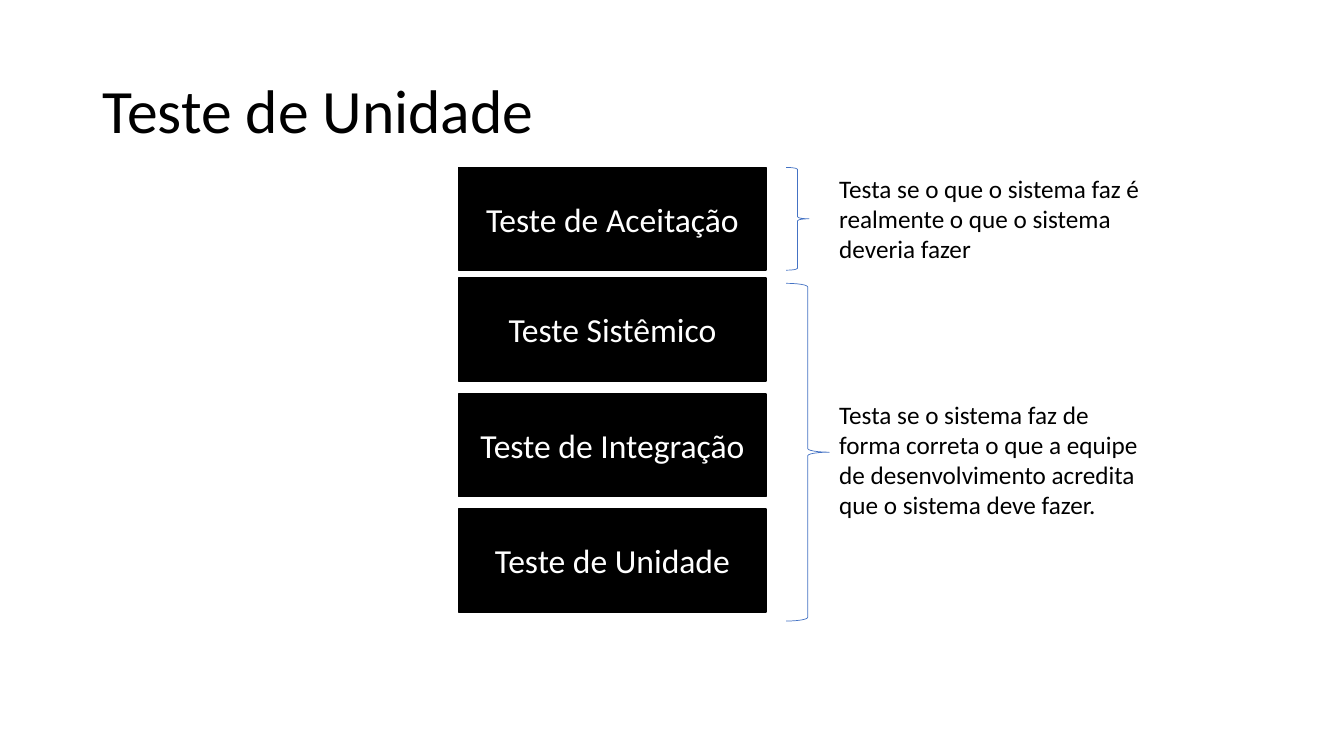
import pptx
import pptx.util
import pptx.dml.color
import pptx.enum.shapes
import pptx.enum.text

Cm, Pt = pptx.util.Cm, pptx.util.Pt
RGBColor = pptx.dml.color.RGBColor
MSO_SHAPE = pptx.enum.shapes.MSO_SHAPE
PP_ALIGN = pptx.enum.text.PP_ALIGN
MSO_ANCHOR = pptx.enum.text.MSO_ANCHOR

BLACK = RGBColor(0x00, 0x00, 0x00)
WHITE = RGBColor(0xFF, 0xFF, 0xFF)
BLUE = RGBColor(0x44, 0x72, 0xC4)


class Deck:
    """Holds the style and the current slide."""
    font = "Calibri"

    def __init__(self, prs):
        self.slide = prs.slides.add_slide(prs.slide_layouts[6])

    def set_text(self, sp, text, size, color, align, anchor):
        tf = sp.text_frame
        tf.word_wrap = True
        tf.vertical_anchor = anchor
        p = tf.paragraphs[0]
        p.text = text
        p.alignment = align
        p.font.name = self.font
        p.font.size = Pt(size)
        p.font.color.rgb = color
        return p

    def text(self, text, x, y, w, h, size=18, anchor=MSO_ANCHOR.TOP):
        sp = self.slide.shapes.add_textbox(Cm(x), Cm(y), Cm(w), Cm(h))
        return self.set_text(sp, text, size, BLACK, PP_ALIGN.LEFT, anchor)

    def shape(self, kind, x, y, w, h, line, weight):
        sp = self.slide.shapes.add_shape(kind, Cm(x), Cm(y), Cm(w), Cm(h))
        sp.shadow.inherit = False
        sp.line.color.rgb = line
        sp.line.width = Pt(weight)
        return sp

    def box(self, text, x, y, w, h):
        sp = self.shape(MSO_SHAPE.RECTANGLE, x, y, w, h, BLACK, 1)
        sp.fill.solid()
        sp.fill.fore_color.rgb = BLACK
        self.set_text(sp, text, 24, WHITE, PP_ALIGN.CENTER, MSO_ANCHOR.MIDDLE)

    def brace(self, x, y, w, h):
        sp = self.shape(MSO_SHAPE.RIGHT_BRACE, x, y, w, h, BLUE, 0.5)
        sp.fill.background()


prs = pptx.Presentation()
prs.slide_width, prs.slide_height = Cm(33.87), Cm(19.05)
deck = Deck(prs)

# Title
title = deck.text("Teste de Unidade", 2.34, 1.02, 29.21, 3.68, 44, MSO_ANCHOR.MIDDLE)
title.line_spacing = 0.9

# Stack of test levels
LEVELS = [
    ("Teste de Aceitação", 4.22),
    ("Teste Sistêmico", 7.01),
    ("Teste de Integração", 9.93),
    ("Teste de Unidade", 12.83),
]
for level, top in LEVELS:
    deck.box(level, 11.56, top, 7.75, 2.59)

# Braces: top, width, height; notes: top, height
GROUPS = [
    ((4.22, 0.58, 2.59), (4.24, 2.57),
     "Testa se o que o sistema faz é realmente o que o sistema deveria fazer"),
    ((7.14, 1.09, 8.51), (9.93, 3.33),
     "Testa se o sistema faz de forma correta o que a equipe de "
     "desenvolvimento acredita que o sistema deve fazer."),
]
for brace, (top, height), note in GROUPS:
    deck.brace(19.81, *brace)
    deck.text(note, 20.9, top, 8.33, height)

prs.save("out.pptx")
